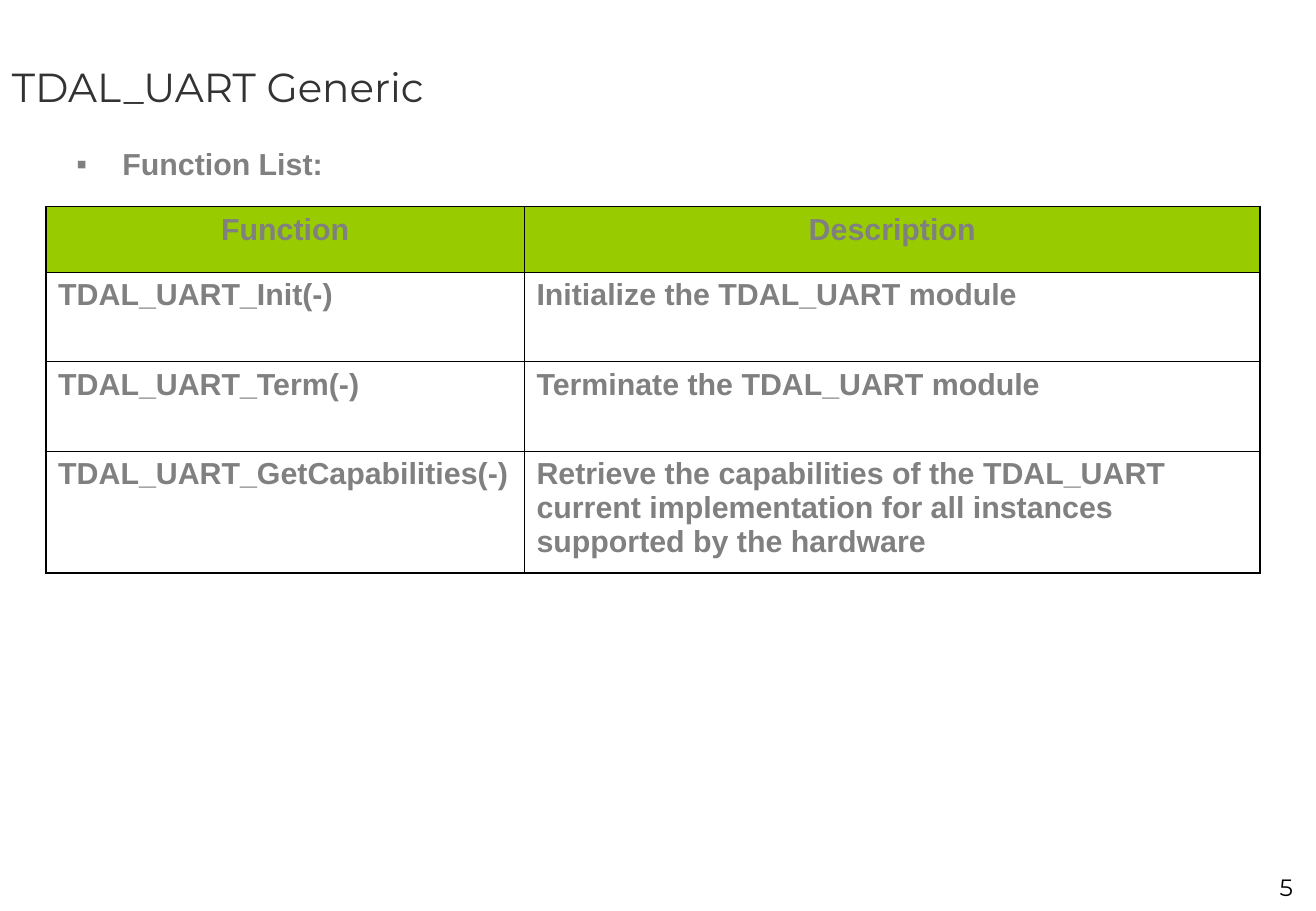
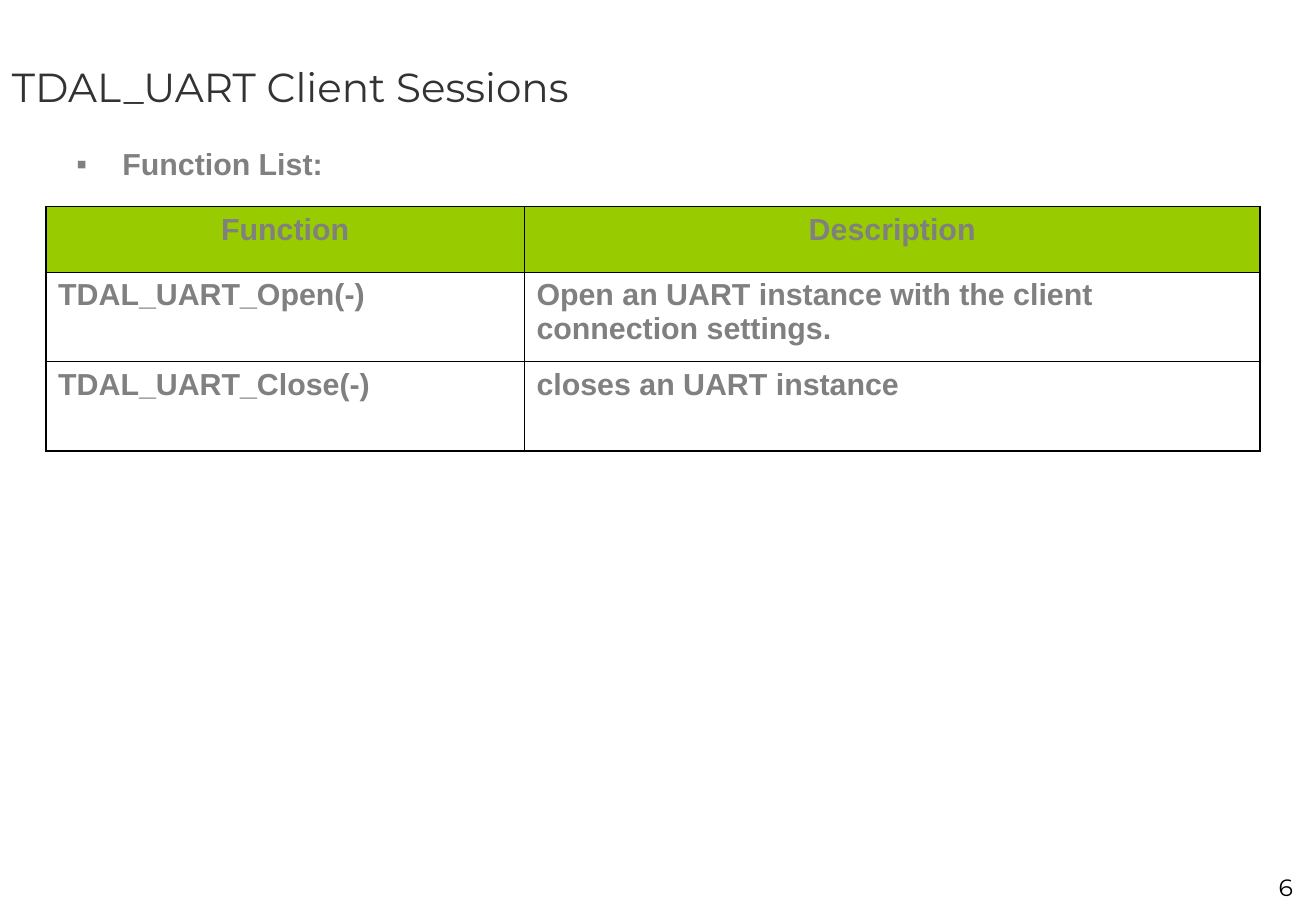
from dataclasses import dataclass

from lxml import etree
from pptx import Presentation
from pptx.dml.color import RGBColor
from pptx.enum.text import MSO_ANCHOR, PP_ALIGN
from pptx.oxml.ns import qn
from pptx.util import Inches, Pt

LEFT, CENTER, RIGHT = PP_ALIGN.LEFT, PP_ALIGN.CENTER, PP_ALIGN.RIGHT
TOP, MIDDLE = MSO_ANCHOR.TOP, MSO_ANCHOR.MIDDLE
BLANK_LAYOUT = 6


@dataclass(frozen=True)
class TextStyle:
    font: str
    size: float
    color: str
    bold: bool = False
    space_before: float = 0


@dataclass(frozen=True)
class Theme:
    title: TextStyle = TextStyle("Montserrat", 24, "333333")
    body: TextStyle = TextStyle("Arial", 18, "808080", True, 4.5)
    number: TextStyle = TextStyle("Montserrat", 14, "000000")
    background: str = "FFFFFF"
    header_fill: str = "99CC00"
    border: str = "000000"
    outer_line: float = 1.08
    inner_line: float = 0.45


class Deck:
    """Builds slides in one theme, with every length a percentage of the slide."""

    def __init__(self, theme, width, height):
        self.theme = theme
        self.presentation = Presentation()
        self.presentation.slide_width = Inches(width)
        self.presentation.slide_height = Inches(height)
        self.slide = None

    def across(self, percent):
        return round(self.presentation.slide_width * percent / 100)

    def down(self, percent):
        return round(self.presentation.slide_height * percent / 100)

    def place(self, left, top, width, height):
        return self.across(left), self.down(top), self.across(width), self.down(height)

    def add_slide(self):
        layout = self.presentation.slide_layouts[BLANK_LAYOUT]
        self.slide = self.presentation.slides.add_slide(layout)
        fill = self.slide.background.fill
        fill.solid()
        fill.fore_color.rgb = RGBColor.from_string(self.theme.background)

    def add_text(self, paragraph, text, style, align=LEFT):
        paragraph.alignment = align
        paragraph.space_before = Pt(style.space_before)
        run = paragraph.add_run()
        run.text = text
        run.font.name = style.font
        run.font.size = Pt(style.size)
        run.font.bold = style.bold
        run.font.color.rgb = RGBColor.from_string(style.color)

    def text_box(self, area, text, style, align=LEFT, anchor=TOP):
        frame = self.slide.shapes.add_textbox(*self.place(*area)).text_frame
        frame.word_wrap = True
        frame.vertical_anchor = anchor
        paragraph = frame.paragraphs[0]
        self.add_text(paragraph, text, style, align)
        return paragraph

    def title(self, text):
        self.text_box((0, 0, 100, 18.93), text, self.theme.title, anchor=MIDDLE)

    def bullet(self, text):
        style = self.theme.body
        paragraph = self.text_box((4.89, 15.33, 91.42, 66), text, style)
        properties = paragraph._p.get_or_add_pPr()
        indent = Inches(0.38)
        properties.set("marL", str(indent))
        properties.set("indent", str(-indent))
        color = etree.SubElement(properties, qn("a:buClr"))
        etree.SubElement(color, qn("a:srgbClr"), val=style.color)
        etree.SubElement(properties, qn("a:buFont"), typeface=style.font)
        etree.SubElement(properties, qn("a:buChar"), char="▪")

    def slide_number(self, number):
        self.text_box((88.47, 95.2, 10.7, 4.4), str(number), self.theme.number, RIGHT)

    def table(self, rows, row_heights):
        column_widths = (36.35, 55.9)
        area = (3.5, 22.67, sum(column_widths), sum(row_heights))
        table = self.slide.shapes.add_table(
            len(rows), len(column_widths), *self.place(*area)
        ).table
        for column, width in zip(table.columns, column_widths):
            column.width = self.across(width)
        for row, height in zip(table.rows, row_heights):
            row.height = self.down(height)
        last_row, last_column = len(rows) - 1, len(column_widths) - 1
        for i, texts in enumerate(rows):
            for j, text in enumerate(texts):
                cell = table.cell(i, j)
                align = LEFT if i else CENTER
                self.add_text(cell.text_frame.paragraphs[0], text, self.theme.body, align)
                outer_edges = {
                    "L": j == 0, "R": j == last_column,
                    "T": i == 0, "B": i == last_row,
                }
                self.borders(cell, outer_edges)
                if i:
                    cell.fill.background()
                else:
                    cell.fill.solid()
                    cell.fill.fore_color.rgb = RGBColor.from_string(self.theme.header_fill)

    def borders(self, cell, outer_edges):
        properties = cell._tc.get_or_add_tcPr()
        for side, outer in outer_edges.items():
            width = Pt(self.theme.outer_line if outer else self.theme.inner_line)
            line = etree.SubElement(properties, qn(f"a:ln{side}"), w=str(width))
            fill = etree.SubElement(line, qn("a:solidFill"))
            etree.SubElement(fill, qn("a:srgbClr"), val=self.theme.border)

    def function_slide(self, number, title, functions, row_heights):
        self.add_slide()
        self.title(title)
        self.bullet("Function List:")
        self.table([("Function", "Description"), *functions], row_heights)
        self.slide_number(number)


def main():
    header, two_lines, three_lines = 7.2, 9.83, 13.4
    deck = Deck(Theme(), 10.84, 7.5)
    deck.function_slide(
        5,
        "TDAL_UART Generic",
        [
            ("TDAL_UART_Init(-)", "Initialize the TDAL_UART module"),
            ("TDAL_UART_Term(-)", "Terminate the TDAL_UART module"),
            (
                "TDAL_UART_GetCapabilities(-)",
                "Retrieve the capabilities of the TDAL_UART current implementation "
                "for all instances supported by the hardware",
            ),
        ],
        (header, two_lines, two_lines, three_lines),
    )
    deck.function_slide(
        6,
        "TDAL_UART Client Sessions",
        [
            (
                "TDAL_UART_Open(-)",
                "Open an UART instance with the client connection settings.",
            ),
            ("TDAL_UART_Close(-)", "closes an UART instance"),
        ],
        (header, two_lines, two_lines),
    )
    deck.presentation.save("out.pptx")


if __name__ == "__main__":
    main()
